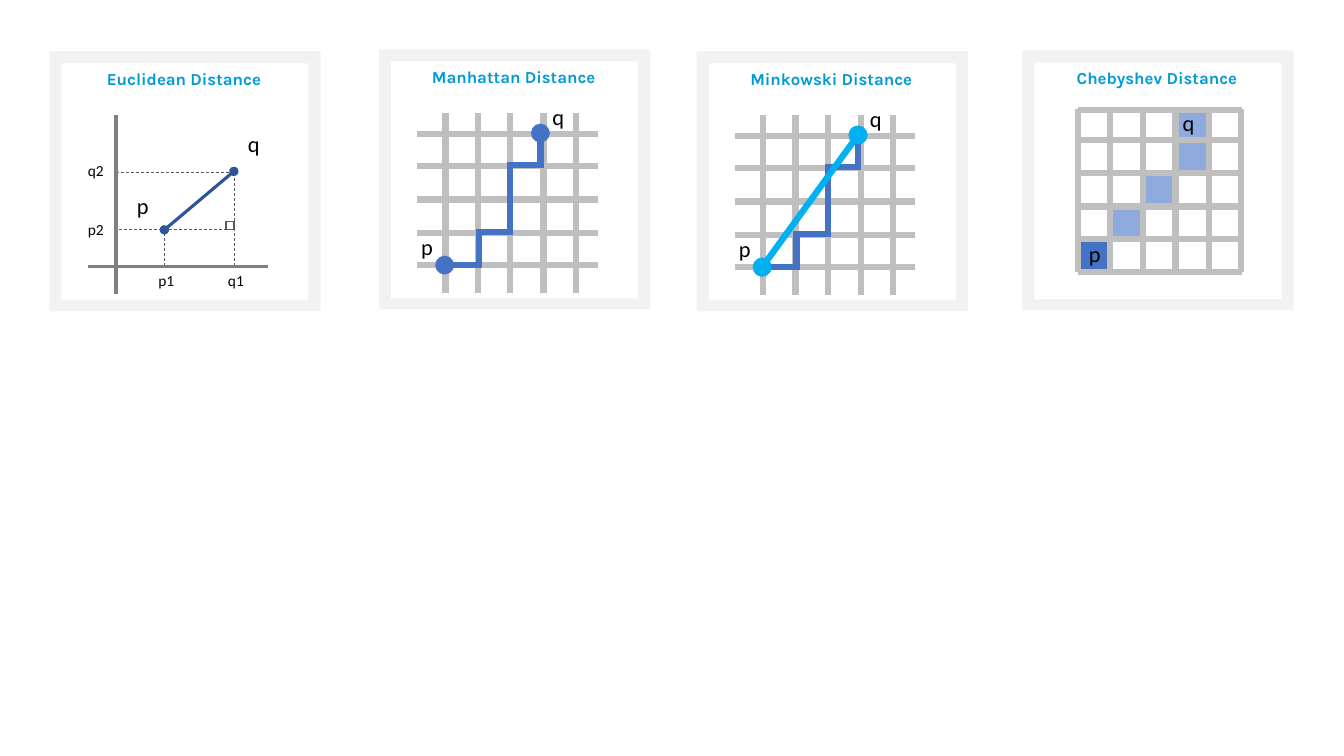
from collections import namedtuple

from lxml import etree
from pptx import Presentation
from pptx import util as u
from pptx.dml.color import RGBColor
from pptx.enum import dml, shapes, text
from pptx.oxml import ns

SCALE = 9144
GRID = "BFBFBF"
GRAY = "595959"
AXIS = "808080"
BLUE = "4472C4"
PALE = "8FAADC"

Panel = namedtuple("Panel", "shapes left top")


def px(count):
    return u.Emu(count * SCALE)


def paint(fill, color):
    fill.solid()
    fill.fore_color.rgb = RGBColor.from_string(color)


def stroke(line, color, width, dash=False, dots=False):
    paint(line.fill, color)
    line.width = u.Pt(width)
    if dash:
        line.dash_style = dml.MSO_LINE.DASH
    edge = line.fill._xPr
    etree.SubElement(edge, ns.qn("a:miter"), lim="800000")
    if dots:
        for end in ("a:headEnd", "a:tailEnd"):
            etree.SubElement(edge, ns.qn(end), type="oval")


def box(panel, x, y, w, h, color=None):
    shape = panel.shapes.add_shape(
        shapes.MSO_SHAPE.RECTANGLE,
        px(panel.left + x), px(panel.top + y), px(w), px(h))
    shape.shadow.inherit = False
    if color:
        paint(shape.fill, color)
        shape.line.fill.background()
    else:
        shape.fill.background()
        stroke(shape.line, GRAY, 1)


def rule(panel, x1, y1, x2, y2, color, width, dash=False, dots=False):
    line = panel.shapes.add_connector(
        shapes.MSO_CONNECTOR.STRAIGHT,
        px(panel.left + x1), px(panel.top + y1),
        px(panel.left + x2), px(panel.top + y2))
    etree.SubElement(line._element.spPr, ns.qn("a:effectLst"))
    stroke(line.line, color, width, dash, dots)


def label(panel, words, x, y, w, h, size=16, font="Calibri",
          color="000000", bold=False, center=False, tight=False):
    frame = panel.shapes.add_textbox(
        px(panel.left + x), px(panel.top + y), px(w), px(h)).text_frame
    frame.word_wrap = True
    if tight:
        frame.margin_left = frame.margin_right = 0
        frame.margin_top = frame.margin_bottom = 0
    para = frame.paragraphs[0]
    para.text = words
    if center:
        para.alignment = text.PP_ALIGN.CENTER
    para.font.size = u.Pt(size)
    para.font.name = font
    para.font.bold = bold
    para.font.color.rgb = RGBColor.from_string(color)


def frame_panel(tree, left, top, title):
    panel = Panel(tree, left, top)
    box(panel, 0, 0, 269, 258, "F2F2F2")
    box(panel, 12, 12, 245, 235, "FFFFFF")
    label(panel, title, 11, 12, 245, 30, 12, "Karla", "009BD6",
          bold=True, center=True)
    return panel


def grid(panel, cols, rows, left, right, top, bottom):
    for x in cols:
        rule(panel, x, bottom, x, top, GRID, 4.5)
    for y in rows:
        rule(panel, right, y, left, y, GRID, 4.5)


def stairs(panel):
    cols = [66 + round(i * 32.25) for i in range(5)]
    rows = [84 + round(i * 32.5) for i in range(5)]
    grid(panel, cols, rows, 38, 217, 63, 242)
    label(panel, "p", 32, 177, 34, 37)
    label(panel, "q", 162, 48, 29, 38)
    steps = [(65, 214), (99, 214), (99, 181), (130, 181),
             (130, 115), (160, 115), (160, 83)]
    points = [(panel.left + x, panel.top + y) for x, y in steps]
    pen = panel.shapes.build_freeform(*points[0], scale=SCALE)
    pen.add_line_segments(points[1:], close=False)
    route = pen.convert_to_shape()
    route.shadow.inherit = False
    route.fill.background()
    stroke(route.line, BLUE, 4.5, dots=True)


def euclid(tree):
    panel = frame_panel(tree, 49, 51, "Euclidean Distance")
    label(panel, "p", 77, 135, 34, 37)
    label(panel, "q", 187, 73, 34, 37)
    for words, x, y in (("p1", 102, 218), ("q1", 171, 218),
                        ("p2", 32, 167), ("q2", 32, 109)):
        label(panel, words, x, y, 28, 19, 11, center=True, tight=True)
    for ends in ((66, 120, 183, 120), (69, 177, 183, 177),
                 (114, 213, 114, 177), (183, 213, 183, 124)):
        rule(panel, *ends, GRAY, 0.5, dash=True)
    rule(panel, 66, 241, 66, 63, AXIS, 2.25)
    rule(panel, 217, 213, 38, 213, AXIS, 2.25)
    rule(panel, 114, 177, 183, 119, "2F5597", 2.25, dots=True)
    box(panel, 175, 169, 8, 8)


def cheby(tree):
    panel = frame_panel(tree, 1014, 50, "Chebyshev Distance")
    for x, y, color in ((57, 189, BLUE), (88, 156, PALE), (121, 123, PALE),
                        (153, 91, PALE), (153, 60, PALE)):
        box(panel, x, y, 30, 29, color)
    cols = [55 + round(i * 32.4) for i in range(6)]
    grid(panel, cols, (59, 89, 122, 155, 187, 220), 55, 218, 58, 220)
    label(panel, "p", 56, 183, 25, 37)
    label(panel, "q", 149, 53, 35, 37)


def main():
    deck = Presentation()
    deck.slide_width = px(1333)
    deck.slide_height = px(750)
    tree = deck.slides.add_slide(deck.slide_layouts[6]).shapes
    euclid(tree)
    stairs(frame_panel(tree, 376, 49, "Manhattan Distance"))
    panel = frame_panel(tree, 691, 51, "Minkowski Distance")
    stairs(panel)
    rule(panel, 65, 214, 160, 83, "00B0F0", 4.5, dots=True)
    cheby(tree)
    deck.save("out.pptx")


if __name__ == "__main__":
    main()
